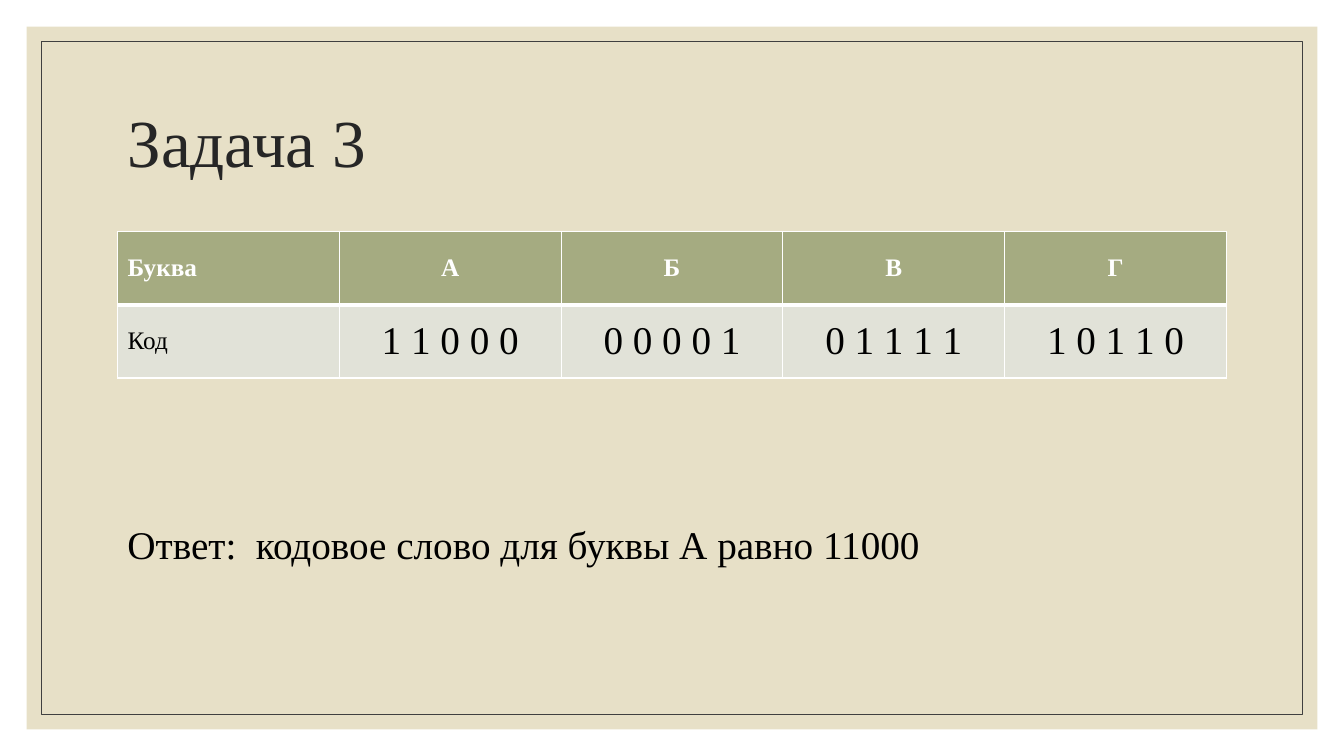
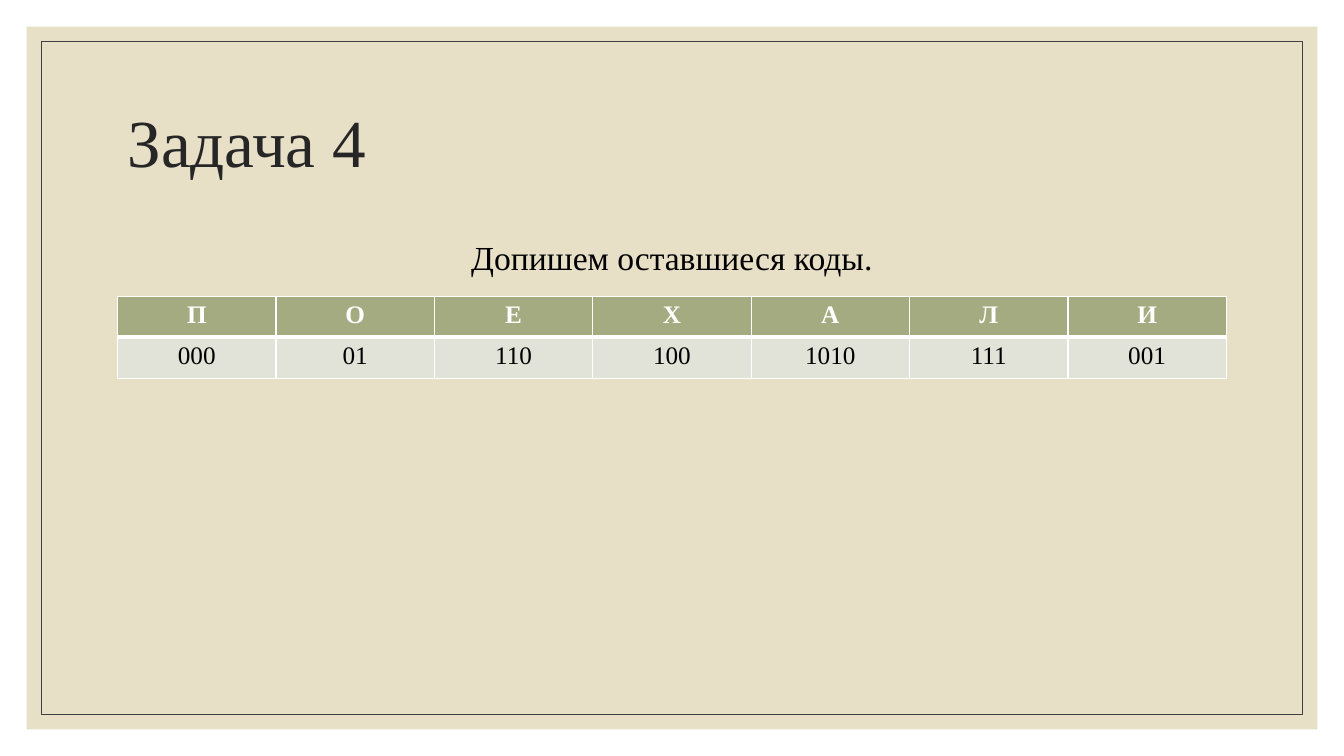
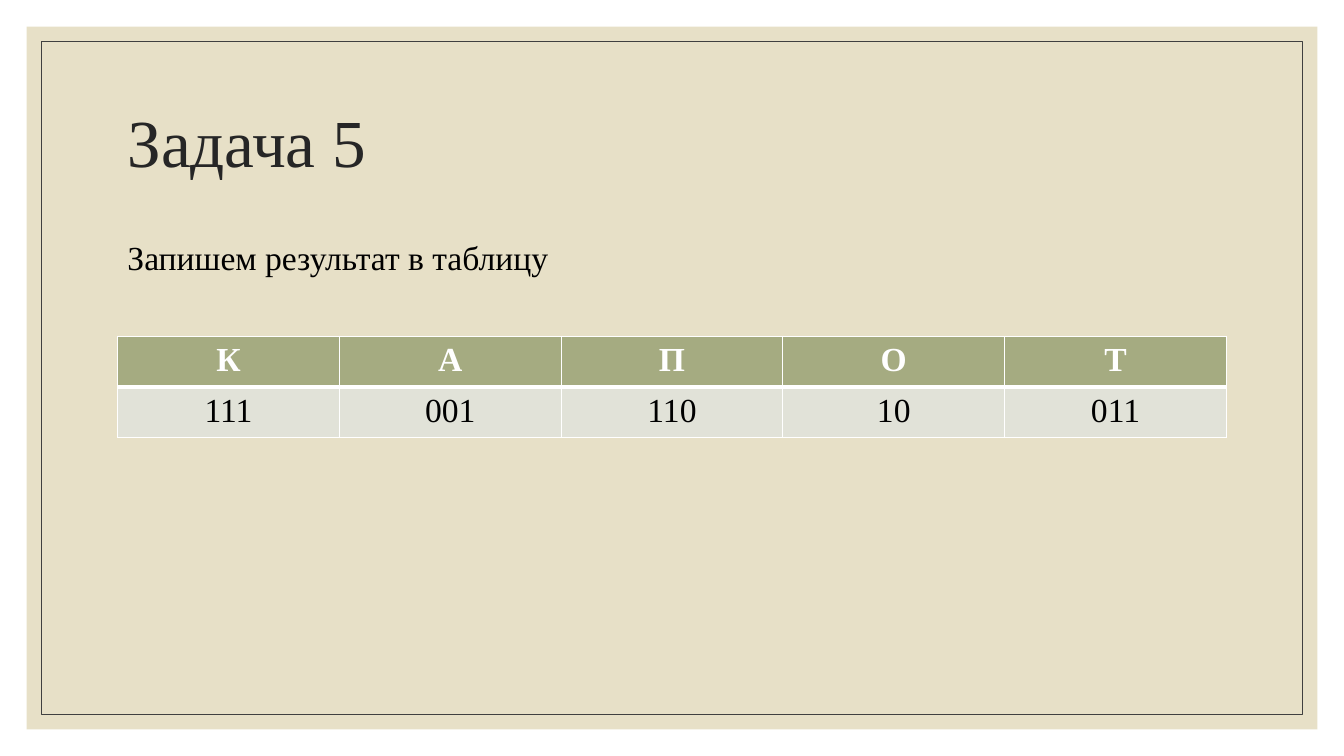
"""Build three task slides, each with a code table, on an 80 by 45 grid of square units."""
from dataclasses import dataclass

from lxml.etree import SubElement
from pptx import Presentation
from pptx.dml.color import RGBColor as RGB
from pptx.enum.shapes import MSO_SHAPE as SHAPE
from pptx.enum.text import MSO_ANCHOR as ANCHOR, PP_ALIGN as ALIGN
from pptx.oxml.ns import qn
from pptx.util import Inches, Pt


@dataclass(frozen=True)
class Theme:
    font: str = "Times New Roman"
    panel: str = "E7E0C7"
    frame: str = "404040"
    title: str = "262626"
    text: str = "000000"
    header: str = "A5AB81"
    code: str = "E1E2D8"
    white: str = "FFFFFF"
    title_size: int = 48
    large: int = 28
    medium: int = 24
    small: int = 18


theme = Theme()
COLS, ROWS = 80, 45
LEFT, WIDTH = 7, 66
TITLE_TOP, TITLE_HEIGHT, BODY_TOP = 4.2, 9, 13.8
PANEL_INSET, FRAME_INSET = 1.58, 2.46

deck = Presentation()
deck.slide_width, deck.slide_height = Inches(13.333), Inches(7.5)
unit = deck.slide_height / ROWS


def grid(*lengths):
    return [round(length * unit) for length in lengths]


def write(frame, text, size, color, align=ALIGN.LEFT, bold=False):
    paragraph = frame.paragraphs[0]
    paragraph.alignment = align
    run = paragraph.add_run()
    run.text = text
    run.font.name, run.font.size, run.font.bold = theme.font, Pt(size), bold
    run.font.color.rgb = RGB.from_string(color)
    return paragraph


tasks = [
    dict(title="Задача 3",
         note="Ответ:  кодовое слово для буквы А равно 11000",
         note_top=30.66, note_height=3.42, note_size=theme.large,
         note_align=ALIGN.LEFT, note_gap=0,
         label=("Буква", "Код"),
         codes={"А": "1 1 0 0 0", "Б": "0 0 0 0 1", "В": "0 1 1 1 1", "Г": "1 0 1 1 0"},
         table_top=BODY_TOP, row_height=4.35, sizes=(theme.small, theme.large),
         anchor=ANCHOR.MIDDLE),
    dict(title="Задача 4",
         note="Допишем оставшиеся коды.",
         note_top=BODY_TOP, note_height=3.24, note_size=theme.medium,
         note_align=ALIGN.CENTER, note_gap=9,
         label=None,
         codes={"П": "000", "О": "01", "Е": "110", "Х": "100",
                "А": "1010", "Л": "111", "И": "001"},
         table_top=17.64, row_height=2.44, sizes=(theme.small, theme.small),
         anchor=ANCHOR.TOP),
    dict(title="Задача 5",
         note="Запишем результат в таблицу",
         note_top=BODY_TOP, note_height=25.8, note_size=theme.medium,
         note_align=ALIGN.LEFT, note_gap=9,
         label=None,
         codes={"К": "111", "А": "001", "П": "110", "О": "10", "Т": "011"},
         table_top=20.04, row_height=2.8, sizes=(theme.medium, theme.medium),
         anchor=ANCHOR.TOP),
]

row_styles = [
    dict(fill=theme.header, color=theme.white, bold=True,
         borders={"L": 1, "R": 1, "T": 1, "B": 3}),
    dict(fill=theme.code, color=theme.text, bold=False,
         borders={"L": 1, "R": 1, "T": 3, "B": 1}),
]

for task in tasks:
    slide = deck.slides.add_slide(deck.slide_layouts[6])

    panel, frame = [
        slide.shapes.add_shape(
            SHAPE.RECTANGLE, *grid(inset, inset, COLS - 2 * inset, ROWS - 2 * inset))
        for inset in (PANEL_INSET, FRAME_INSET)]
    panel.shadow.inherit = frame.shadow.inherit = False
    panel.fill.solid()
    panel.fill.fore_color.rgb = RGB.from_string(theme.panel)
    panel.line.fill.background()
    frame.fill.background()
    frame.line.color.rgb = RGB.from_string(theme.frame)
    frame.line.width = Pt(0.5)

    title = slide.shapes.add_textbox(*grid(LEFT, TITLE_TOP, WIDTH, TITLE_HEIGHT)).text_frame
    title.word_wrap = True
    title.vertical_anchor = ANCHOR.MIDDLE
    write(title, task["title"], theme.title_size, theme.title).line_spacing = 0.9

    note = slide.shapes.add_textbox(
        *grid(LEFT, task["note_top"], WIDTH, task["note_height"])).text_frame
    note.word_wrap = True
    sentence = write(note, task["note"], task["note_size"], theme.text, task["note_align"])
    sentence.space_before = Pt(task["note_gap"])

    columns = list(task["codes"].items())
    if task["label"]:
        columns.insert(0, task["label"])
    table = slide.shapes.add_table(
        2, len(columns),
        *grid(LEFT, task["table_top"], WIDTH, 2 * task["row_height"])).table
    table.horz_banding = False

    for c, column in enumerate(columns):
        is_label = column == task["label"]
        for r, (text, style) in enumerate(zip(column, row_styles)):
            cell = table.cell(r, c)
            cell.vertical_anchor = task["anchor"]
            write(cell.text_frame, text,
                  theme.small if is_label else task["sizes"][r], style["color"],
                  ALIGN.LEFT if is_label else ALIGN.CENTER, style["bold"])
            properties = cell._tc.get_or_add_tcPr()
            for side, points in style["borders"].items():
                border = SubElement(properties, qn(f"a:ln{side}"), w=str(Pt(points)))
                SubElement(SubElement(border, qn("a:solidFill")),
                           qn("a:srgbClr"), val=theme.white)
            cell.fill.solid()
            cell.fill.fore_color.rgb = RGB.from_string(style["fill"])

deck.save("out.pptx")
